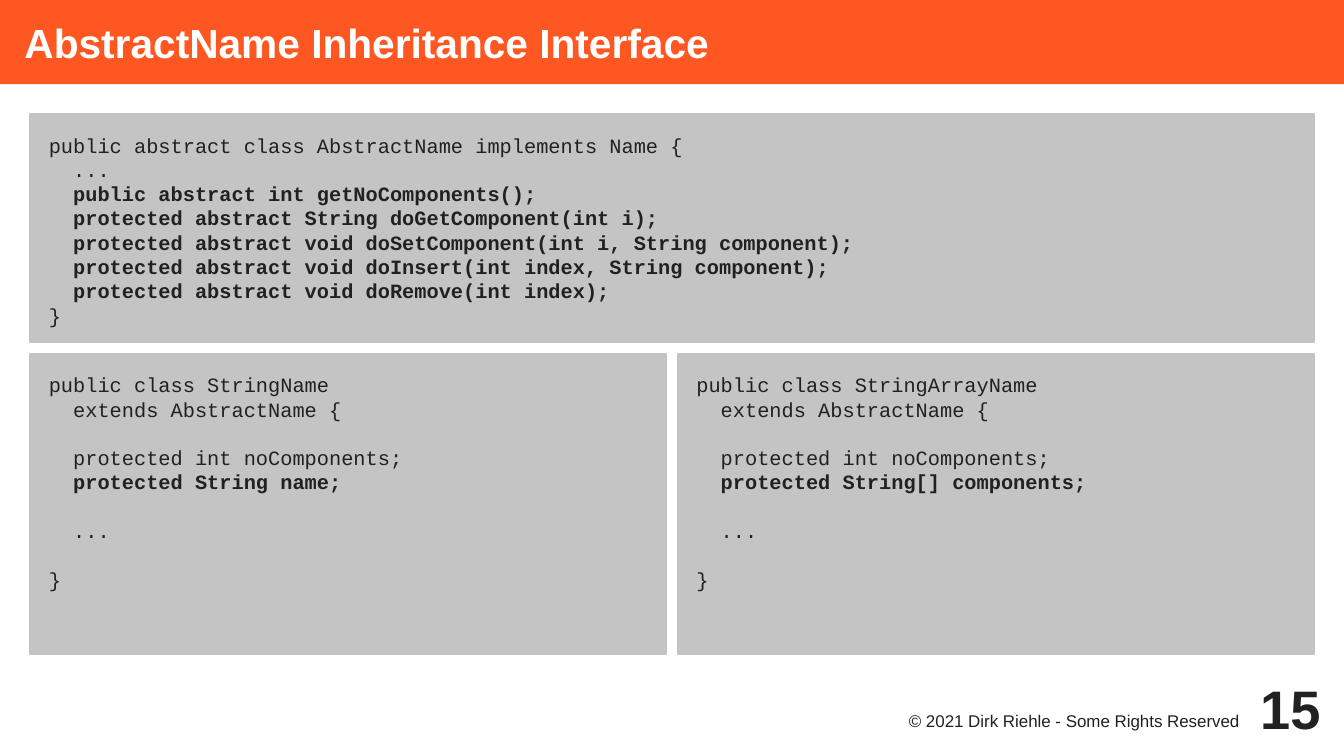
from pptx import Presentation
from pptx.dml.color import RGBColor
from pptx.enum import shapes, text
from pptx.util import Pt

TITLE = "AbstractName Inheritance Interface"
COPYRIGHT = "© 2021 Dirk Riehle - Some Rights Reserved"
PAGE = "15"

# Each code line is (text, bold); an empty text is a gap of one line.
ABSTRACT_NAME = [
    ("public abstract class AbstractName implements Name {", False),
    ("  ...", False),
    ("  public abstract int getNoComponents();", True),
    ("  protected abstract String doGetComponent(int i);", True),
    ("  protected abstract void doSetComponent(int i, String component);", True),
    ("  protected abstract void doInsert(int index, String component);", True),
    ("  protected abstract void doRemove(int index);", True),
    ("}", False),
]
SUBCLASSES = [
    ("StringName", "String name"),
    ("StringArrayName", "String[] components"),
]

THEME = {
    "orange": RGBColor.from_string("FF5722"),
    "gray": RGBColor.from_string("C4C4C4"),
    "ink": RGBColor.from_string("212121"),
    "white": RGBColor.from_string("FFFFFF"),
    "sans": "Arial",
    "mono": "Courier New",
    "title": 24,
    "code": 12,
    "footer": 10,
    "page": 32,
    "leading": 14.35,
    "border": 5.67,
}

WIDTH, HEIGHT = 793.44, 446.4
MARGIN = 14.4
TITLE_HEIGHT = 49.7
CODE_TOP = TITLE_HEIGHT + MARGIN
ABSTRACT_HEIGHT, SUBCLASS_HEIGHT = 141.5, 184.3
CODE_WIDTH = WIDTH - 2 * MARGIN
CODE_INSETS = (14.4, 14.4, 2.88, 2.88)


def subclass_code(name, field):
    return [
        (f"public class {name}", False),
        ("  extends AbstractName {", False),
        ("", False),
        ("  protected int noComponents;", False),
        (f"  protected {field};", True),
        ("", False),
        ("  ...", False),
        ("", False),
        ("}", False),
    ]


def set_frame(shape, insets, anchor):
    frame = shape.text_frame
    sides = ("margin_left", "margin_top", "margin_right", "margin_bottom")
    values = {side: Pt(inset) for side, inset in zip(sides, insets)}
    values.update(word_wrap=True, vertical_anchor=anchor)
    for name, value in values.items():
        setattr(frame, name, value)
    return frame


def write(paragraph, line, size, face, color, bold=False,
          align=text.PP_ALIGN.LEFT):
    paragraph.alignment = align
    run = paragraph.add_run()
    run.text = line
    run.font.color.rgb = THEME[color]
    values = {"size": Pt(THEME[size]), "name": THEME[face], "bold": bold}
    for name, value in values.items():
        setattr(run.font, name, value)


def add_panel(slide, box, fill):
    panel = slide.shapes.add_shape(shapes.MSO_SHAPE.RECTANGLE, *map(Pt, box))
    panel.shadow.inherit = False
    panel.fill.solid()
    panel.fill.fore_color.rgb = THEME[fill]
    panel.line.fill.background()
    return panel


def add_code(slide, box, code):
    panel = add_panel(slide, box, "gray")
    panel.line.color.rgb = THEME["white"]
    panel.line.width = Pt(THEME["border"])
    frame = set_frame(panel, CODE_INSETS, text.MSO_ANCHOR.TOP)
    paragraph, gap = frame.paragraphs[0], 0
    for number, (line, bold) in enumerate(code):
        if not line:
            gap += THEME["leading"]
            continue
        if number:
            paragraph = frame.add_paragraph()
            paragraph.space_before = Pt(gap)
        paragraph.line_spacing = Pt(THEME["leading"])
        write(paragraph, line, "code", "mono", "ink", bold)
        gap = 0


def add_footer(slide, box, line, size, bold, insets, anchor):
    label = slide.shapes.add_textbox(*map(Pt, box))
    frame = set_frame(label, insets, anchor)
    write(frame.paragraphs[0], line, size, "sans", "ink", bold,
          text.PP_ALIGN.RIGHT)


def main():
    deck = Presentation()
    deck.slide_width, deck.slide_height = Pt(WIDTH), Pt(HEIGHT)
    slide = deck.slides.add_slide(deck.slide_layouts[6])

    banner = add_panel(slide, (0, 0, WIDTH, TITLE_HEIGHT), "orange")
    heading = set_frame(banner, (MARGIN, 0, 0, 0), text.MSO_ANCHOR.MIDDLE)
    write(heading.paragraphs[0], TITLE, "title", "sans", "white", True)

    add_code(slide, (MARGIN, CODE_TOP, CODE_WIDTH, ABSTRACT_HEIGHT),
             ABSTRACT_NAME)
    column = CODE_WIDTH / len(SUBCLASSES)
    for index, (name, field) in enumerate(SUBCLASSES):
        box = (MARGIN + index * column, CODE_TOP + ABSTRACT_HEIGHT,
               column, SUBCLASS_HEIGHT)
        add_code(slide, box, subclass_code(name, field))

    add_footer(slide, (510.5, 418.3, 226.8, 21.6), COPYRIGHT, "footer", False,
               (0, 1.44, 5.76, 0), text.MSO_ANCHOR.TOP)
    add_footer(slide, (722.9, 396.7, 56.7, 42.5), PAGE, "page", True,
               (0, 0, 0, 0), text.MSO_ANCHOR.MIDDLE)
    deck.save("out.pptx")


if __name__ == "__main__":
    main()
